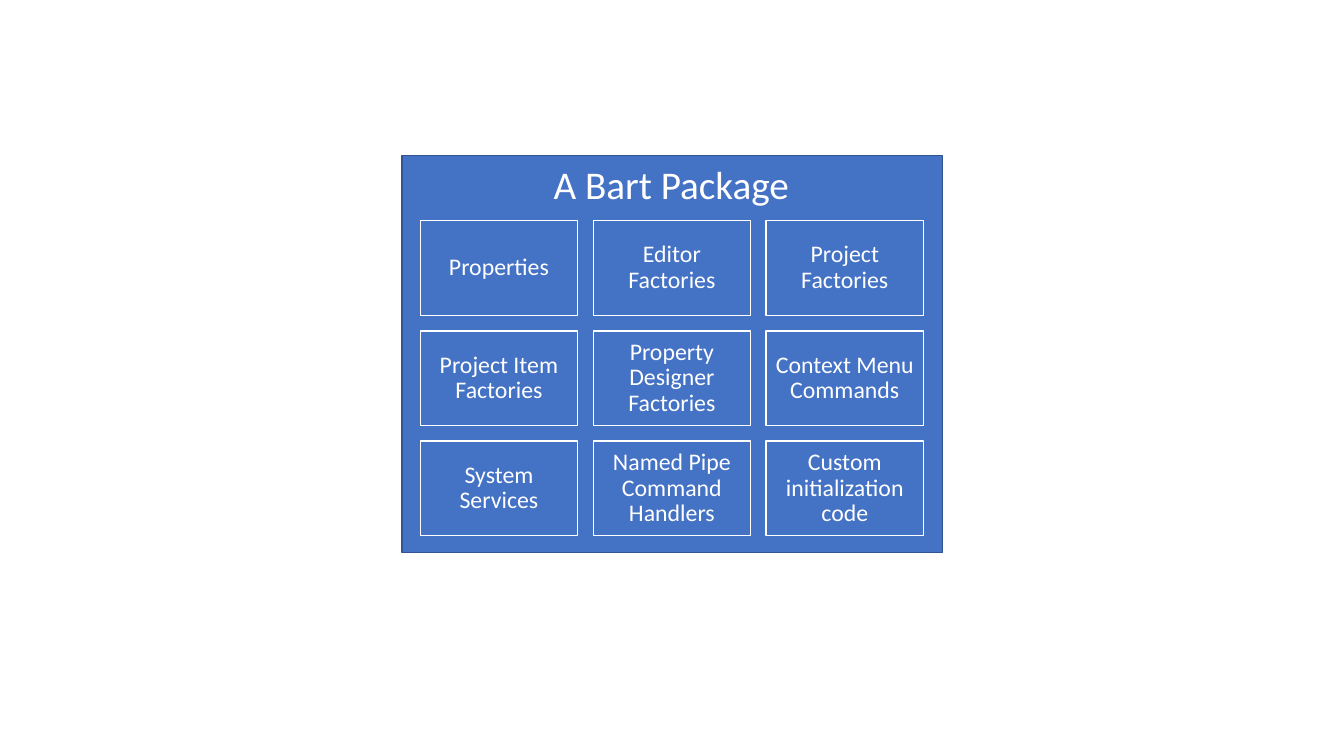
"""Build a slide that shows the parts of a Bart package."""
from dataclasses import dataclass

from pptx import Presentation
from pptx.dml.color import RGBColor
from pptx.enum.shapes import MSO_SHAPE
from pptx.enum.text import MSO_ANCHOR, MSO_AUTO_SIZE, PP_ALIGN
from pptx.util import Pt

RECT = MSO_SHAPE.RECTANGLE
MIDDLE = MSO_ANCHOR.MIDDLE
TOP = MSO_ANCHOR.TOP
CENTER = PP_ALIGN.CENTER
NO_FIT = MSO_AUTO_SIZE.NONE
TITLE_ONLY = 5


@dataclass(frozen=True)
class Theme:
    """Colours, font and type sizes of the slide."""
    blue: RGBColor = RGBColor(0x44, 0x72, 0xC4)
    edge: RGBColor = RGBColor(0x32, 0x54, 0x91)
    white: RGBColor = RGBColor(0xFF, 0xFF, 0xFF)
    font: str = "Calibri"
    title: int = 28
    label: int = 17


THEME = Theme()

PARTS = [
    ["Properties", "Editor Factories", "Project Factories"],
    ["Project Item Factories", "Property Designer Factories",
     "Context Menu Commands"],
    ["System Services", "Named Pipe Command Handlers",
     "Custom initialization code"],
]
GRID_LEFT, GRID_TOP = 300.3, 157.7
CELL_WIDTH, CELL_HEIGHT = 112.3, 67.5
GAP = 11.2


def add_box(slide, left, top, width, height, line):
    """Add a blue rectangle with a thin outline."""
    box = slide.shapes.add_shape(
        RECT, Pt(left), Pt(top), Pt(width), Pt(height))
    box.shadow.inherit = False
    box.fill.solid()
    box.fill.fore_color.rgb = THEME.blue
    box.line.color.rgb = line
    box.line.width = Pt(1)
    return box


def set_text(shape, text, size, anchor):
    """Write one centred white paragraph into a shape."""
    frame = shape.text_frame
    frame.text = text
    frame.word_wrap = True
    frame.auto_size = NO_FIT
    frame.vertical_anchor = anchor
    para = frame.paragraphs[0]
    para.alignment = CENTER
    para.font.name = THEME.font
    para.font.size = Pt(size)
    para.font.color.rgb = THEME.white
    return frame


def add_part(slide, row, col, text):
    """Add one labelled cell of the grid."""
    left = GRID_LEFT + col * (CELL_WIDTH + GAP)
    top = GRID_TOP + row * (CELL_HEIGHT + GAP)
    box = add_box(slide, left, top, CELL_WIDTH, CELL_HEIGHT, THEME.white)
    frame = set_text(box, text, THEME.label, MIDDLE)
    frame.margin_left = frame.margin_right = Pt(5)
    frame.margin_top = frame.margin_bottom = Pt(5)
    frame.paragraphs[0].line_spacing = 0.9


def set_title(slide, panel, text):
    """Place the title at the head of the panel and in front of it."""
    title = slide.shapes.title
    title.left, title.top = Pt(299.5), Pt(110.9)
    title.width, title.height = Pt(360), Pt(41.2)
    set_text(title, text, THEME.title, TOP)
    panel.element.addnext(title.element)


def main():
    """Build and save the slide."""
    deck = Presentation()
    deck.slide_width, deck.slide_height = Pt(960), Pt(540)
    slide = deck.slides.add_slide(deck.slide_layouts[TITLE_ONLY])
    panel = add_box(slide, 287.3, 110.9, 385.9, 283.7, THEME.edge)
    set_title(slide, panel, "A Bart Package")
    for row, names in enumerate(PARTS):
        for col, name in enumerate(names):
            add_part(slide, row, col, name)
    deck.save("out.pptx")


main()
